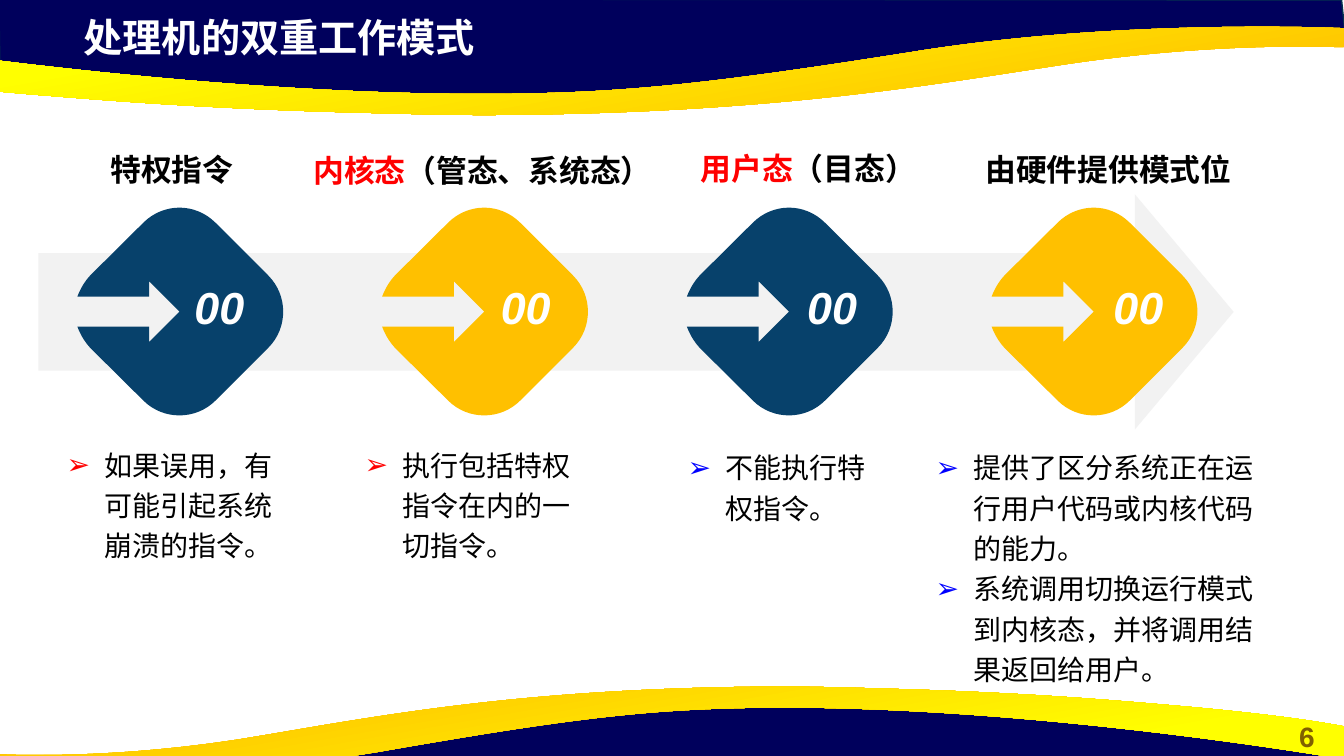
from math import sqrt

from lxml.etree import SubElement
from pptx import Presentation
from pptx.dml.color import RGBColor
from pptx.enum.shapes import MSO_SHAPE
from pptx.enum.text import MSO_ANCHOR, PP_ALIGN
from pptx.oxml.ns import qn
from pptx.util import Cm, Pt

NAVY = RGBColor(0x00, 0x00, 0x5C)
NAVY_EDGE = RGBColor(0x05, 0x30, 0x4F)
BLUE = RGBColor(0x07, 0x41, 0x6B)
GOLD = RGBColor(0xFF, 0xC0, 0x00)
YELLOW = RGBColor(0xFF, 0xFF, 0x00)
PALE = RGBColor(0xF2, 0xF2, 0xF2)
OLIVE = RGBColor(0x80, 0x60, 0x00)
WHITE = RGBColor(0xFF, 0xFF, 0xFF)
BLACK = RGBColor(0x00, 0x00, 0x00)
RED = RGBColor(0xFF, 0x00, 0x00)
BULLET_BLUE = RGBColor(0x00, 0x00, 0xFF)

BAND = [
    [(-0.03, -0.03)], [(0, 1.78)], [(7.44, 2.59)], [(14.2, 2.54)], [(20.19, 2.24)],
    [(25.81, 1.27)], [(31.45, 0.84)], [(33.91, 0.97)], [(33.81, 0)],
]
RIBBON = [
    [(12.27, 2.9)],
    [(11.25, 2.9), (10.19, 2.87), (9.04, 2.84)],
    [(5.23, 2.74), (2.79, 2.54), (0.91, 2.39)],
    [(-2.24, 2.13), (-3.3, 1.9), (-3.38, 1.9)],
    [(-3.38, 1.07), (-3.38, 1.07), (-3.38, 1.07)],
    [(-3.38, 1.07), (5.54, 2.49), (13.13, 2.36)],
    [(15.9, 2.31), (17.98, 2.11), (23.24, 1.27)],
    [(28.47, 0.46), (33.86, 0.71), (33.86, 0.71)],
    [(33.86, 0.81)], [(33.86, 1.19)], [(33.78, 1.19)],
    [(33.15, 1.17), (30.35, 1.09), (26.8, 1.63)],
    [(23.32, 2.16), (19.35, 2.87), (12.27, 2.9)],
]
DIAMOND = [
    [(0, -2.62)],
    [(0.33, -2.62), (0.66, -2.49), (0.91, -2.24)],
    [(2.24, -0.91)],
    [(2.74, -0.41), (2.74, 0.41), (2.24, 0.91)],
    [(0.91, 2.24)],
    [(0.41, 2.74), (-0.41, 2.74), (-0.91, 2.24)],
    [(-2.25, 0.91)],
    [(-2.36, 0.79), (-2.46, 0.64), (-2.53, 0.48)],
    [(-2.57, 0.38)], [(-0.76, 0.38)], [(-0.76, 0.76)], [(0, 0)],
    [(-0.76, -0.76)], [(-0.76, -0.38)], [(-2.57, -0.38)], [(-2.53, -0.48)],
    [(-2.46, -0.64), (-2.36, -0.79), (-2.25, -0.91)],
    [(-0.91, -2.24)],
    [(-0.66, -2.49), (-0.33, -2.62), (0, -2.62)],
]
HEADINGS = [
    ((0.6, 3.68, 7.47, 1.09), [("特权指令", BLACK)], PP_ALIGN.CENTER, None),
    ((7.65, 3.61, 9.22, 1.09), [("内核态", RED), ("（管态、系统态）", BLACK)],
     PP_ALIGN.LEFT, 1.1),
    ((16.78, 3.65, 6.55, 1.09), [("用户态", RED), ("（目态）", BLACK)],
     PP_ALIGN.RIGHT, None),
    ((23.64, 3.68, 8.59, 1.09), [("由硬件提供模式位", BLACK)], PP_ALIGN.CENTER, None),
]
NOTES = [
    ((1.43, 11, 6.35, 4.06), RED, ["如果误用，有可能引起系统崩溃的指令。"]),
    ((8.94, 11, 6.32, 2.39), RED, ["执行包括特权指令在内的一切指令。"]),
    ((17.08, 11.07, 5.61, 1.47), BULLET_BLUE, ["不能执行特权指令。"]),
    ((23.33, 11.07, 8.53, 4.06), BULLET_BLUE,
     ["提供了区分系统正在运行用户代码或内核代码的能力。",
      "系统调用切换运行模式到内核态，并将调用结果返回给用户。"]),
]


def transform(segments, change):
    """Apply a change of coordinates to every point of the segments."""
    return [[change(x, y) for x, y in segment] for segment in segments]


class SlideBuilder:
    """Holds the text style and the current slide."""

    def __init__(self, slide, font_name="Arial"):
        self.slide = slide
        self.font_name = font_name

    def outline(self, segments, color=None, edge=None, gradient_angle=None, rotation=0):
        """Draw a closed outline of lines and cubic curves."""
        places = transform(segments, lambda x, y: (Cm(x), Cm(y)))
        builder = self.slide.shapes.build_freeform(*places[0][0])
        builder.add_line_segments([segment[-1] for segment in places[1:]], close=True)
        shape = builder.convert_to_shape()
        lines = list(shape._element.iter(qn("a:lnTo")))
        for line, segment in zip(lines, places[1:]):
            if len(segment) == 3:
                self.bend(line, segment, shape.left, shape.top)
        shape.rotation = rotation
        self.paint(shape, color, edge)
        if gradient_angle is not None:
            shape.fill.gradient()
            shape.fill.gradient_angle = gradient_angle
            for stop, position, tone in zip(shape.fill.gradient_stops,
                                            (0.11, 0.78), (GOLD, YELLOW)):
                stop.position = position
                stop.color.rgb = tone

    def bend(self, line, segment, left, top):
        """Replace a straight segment with a cubic curve."""
        outline_path = line.getparent()
        curve = SubElement(outline_path, qn("a:cubicBezTo"))
        for x, y in segment:
            SubElement(curve, qn("a:pt"), x=str(x - left), y=str(y - top))
        outline_path.replace(line, curve)

    def paint(self, shape, color, edge=None):
        """Set the fill and line of a shape and remove its shadow."""
        shape.shadow.inherit = False
        if color is not None:
            shape.fill.solid()
            shape.fill.fore_color.rgb = color
        if edge is None:
            shape.line.fill.background()
        else:
            shape.line.color.rgb = edge
            shape.line.width = Pt(1)

    def right_arrow(self, box, color, adjustments):
        """Draw a block arrow pointing right."""
        shape = self.slide.shapes.add_shape(MSO_SHAPE.RIGHT_ARROW, *map(Cm, box))
        for index, value in enumerate(adjustments):
            shape.adjustments[index] = value
        self.paint(shape, color)

    def text(self, box, paragraphs, size, bold=True, italic=False, spacing=None,
             align=PP_ALIGN.LEFT, anchor=MSO_ANCHOR.TOP, bullet_color=None):
        """Add a text box of paragraphs, each a list of text and colour pairs."""
        frame = self.slide.shapes.add_textbox(*map(Cm, box)).text_frame
        frame.word_wrap = True
        frame.vertical_anchor = anchor
        for index, pieces in enumerate(paragraphs):
            paragraph = frame.add_paragraph() if index else frame.paragraphs[0]
            if bullet_color is not None:
                self.bullet(paragraph, bullet_color)
            paragraph.alignment = align
            if spacing is not None:
                paragraph.line_spacing = spacing
            for words, color in pieces:
                run = paragraph.add_run()
                run.text = words
                run.font.name = self.font_name
                run.font.size = Pt(size)
                run.font.bold = bold
                run.font.italic = italic
                run.font.color.rgb = color

    def bullet(self, paragraph, color):
        """Give a paragraph a coloured arrowhead bullet and a hanging indent."""
        properties = paragraph._p.get_or_add_pPr()
        properties.set("marL", str(Cm(0.95)))
        properties.set("indent", str(-Cm(0.95)))
        bullet_color = SubElement(properties, qn("a:buClr"))
        SubElement(bullet_color, qn("a:srgbClr"), val=str(color))
        SubElement(properties, qn("a:buFont"), typeface=self.font_name)
        SubElement(properties, qn("a:buChar"), char="➢")


def main():
    """Build the slide and save it."""
    presentation = Presentation()
    presentation.slide_width, presentation.slide_height = Cm(33.87), Cm(19.05)
    builder = SlideBuilder(presentation.slides.add_slide(presentation.slide_layouts[6]))

    builder.outline(BAND, NAVY, NAVY_EDGE)
    builder.outline(RIBBON, gradient_angle=100)
    builder.outline(transform(BAND, lambda x, y: (x - 0.05, y + 17.58)),
                    NAVY, NAVY_EDGE, rotation=180)
    builder.outline(transform(RIBBON, lambda x, y: (33.86 - 0.91 * (x + 3.38), 20.2 - y)),
                    gradient_angle=280)
    builder.text((32.01, 18.01, 1.85, 1.12), [[("6", OLIVE)]], 20, align=PP_ALIGN.CENTER)
    builder.text((1.86, 0.21, 19.51, 1.45), [[("处理机的双重工作模式", WHITE)]], 28)

    builder.right_arrow((0.97, 4.9, 30.12, 5.92), PALE, (0.5, 0.42))
    square = transform(DIAMOND, lambda x, y: ((x + y) / sqrt(2), (y - x) / sqrt(2)))
    for index, color in enumerate((BLUE, GOLD, BLUE, GOLD)):
        center = 4.52 + 7.68 * index
        builder.outline(transform(square, lambda x, y: (center + x, 7.85 + y)),
                        color, rotation=45)
        builder.text((4.55 + 7.72 * index, 6.78, 1.96, 1.88), [[("00", WHITE)]], 32,
                     italic=True, align=PP_ALIGN.CENTER, anchor=MSO_ANCHOR.MIDDLE)

    for box, pieces, align, spacing in HEADINGS:
        builder.text(box, [pieces], 22, align=align, spacing=spacing)
    for box, bullet_color, sentences in NOTES:
        builder.text(box, [[(sentence, BLACK)] for sentence in sentences], 20,
                     bold=False, spacing=1.2, bullet_color=bullet_color)
    presentation.save("out.pptx")


if __name__ == "__main__":
    main()
